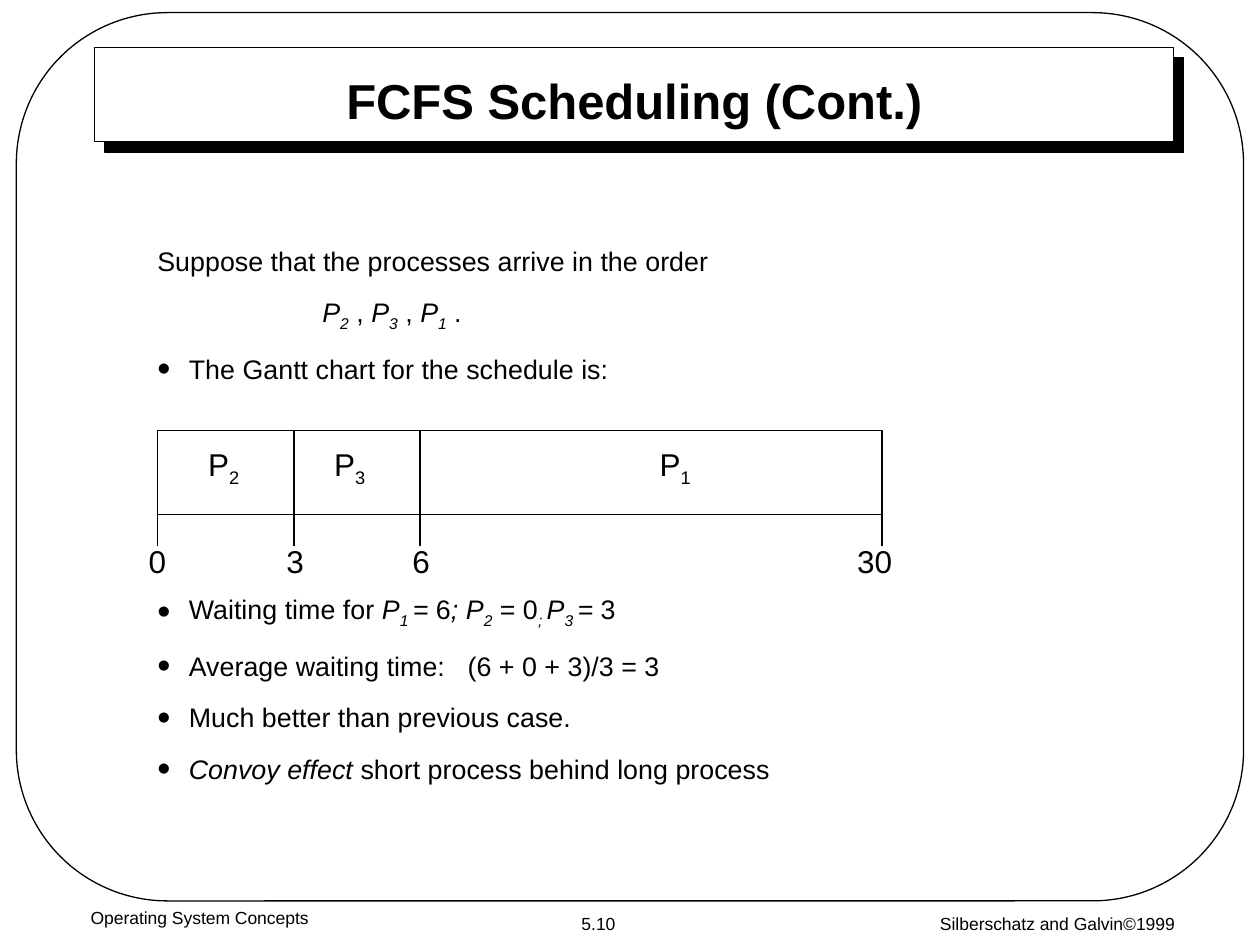
from collections import namedtuple

from lxml import etree
from pptx import Presentation
from pptx import util as u
from pptx.dml.color import RGBColor
from pptx.enum import shapes, text
from pptx.oxml import ns

BLACK = RGBColor(0, 0, 0)
WHITE = RGBColor(255, 255, 255)
FONT = "Arial"
CELL = u.Inches(1) / 12
COLUMNS, ROWS = 120, 90
BODY_SIZE = 15.3
LABEL_SIZE = 18
FOOTER_SIZE = 10
HANGING = u.Inches(0.25)

Box = namedtuple("Box", "left top width height")
ORDER_INDENT = u.Inches(1.31)


def cells(*counts):
    return [u.Emu(round(count * CELL)) for count in counts]


def add_child(parent, tag, **attributes):
    return etree.SubElement(parent, ns.qn(tag), attributes)


def add_outline(slide, kind, box, filled):
    shape = slide.shapes.add_shape(kind, *cells(*box))
    shape.shadow.inherit = False
    if filled:
        shape.fill.solid()
        shape.fill.fore_color.rgb = WHITE
    else:
        shape.fill.background()
    shape.line.color.rgb = BLACK
    shape.line.width = u.Pt(0.75)
    return shape


def add_line(slide, column, top, bottom):
    line = slide.shapes.add_connector(
        shapes.MSO_CONNECTOR.STRAIGHT, *cells(column, top, column, bottom))
    line.line.color.rgb = BLACK
    line.line.width = u.Pt(0.75)
    add_child(line._element.spPr, "a:effectLst")


def add_run(paragraph, words, size, style="", bold=False, tracking=0):
    run = paragraph.add_run()
    run.text = words
    font = run.font
    font.name, font.size, font.bold = FONT, u.Pt(size), bold
    font.italic = "i" in style
    font.color.rgb = BLACK
    properties = run._r.get_or_add_rPr()
    if "s" in style:
        properties.set("baseline", "-25000")
    if tracking:
        properties.set("spc", str(tracking))


def add_text_box(slide, box, anchor=text.MSO_ANCHOR.TOP, wrap=True):
    frame = slide.shapes.add_textbox(*cells(*box)).text_frame
    frame.word_wrap = wrap
    frame.vertical_anchor = anchor
    return frame


def add_label(slide, box, runs, size, bold=False,
              anchor=text.MSO_ANCHOR.MIDDLE, wrap=False):
    paragraph = add_text_box(slide, box, anchor, wrap).paragraphs[0]
    paragraph.alignment = text.PP_ALIGN.CENTER
    for words, style in runs:
        add_run(paragraph, words, size, style, bold)


def format_paragraph(paragraph, margin, bulleted):
    paragraph.space_before = u.Pt(11.2)
    properties = paragraph._p.get_or_add_pPr()
    properties.set("marL", str(margin))
    if bulleted:
        properties.set("indent", str(-HANGING))
        color = add_child(properties, "a:buClr")
        add_child(color, "a:srgbClr", val=str(BLACK))
        add_child(properties, "a:buSzPct", val="140000")
        add_child(properties, "a:buFont", typeface=FONT)
        add_child(properties, "a:buChar", char="•")


def add_body(slide, box, items):
    frame = add_text_box(slide, box)
    for index, (margin, bulleted, runs) in enumerate(items):
        paragraph = frame.add_paragraph() if index else frame.paragraphs[0]
        format_paragraph(paragraph, margin, bulleted)
        for words, style, *tracking in runs:
            add_run(paragraph, words, BODY_SIZE, style, False, *tracking)


def add_title(slide, box):
    panel = add_outline(slide, shapes.MSO_SHAPE.RECTANGLE, box, True)
    effects = panel._element.spPr.find(ns.qn("a:effectLst"))
    shadow = add_child(effects, "a:outerShdw", dist=str(u.Pt(8.5)),
                       dir="2700000", algn="ctr", rotWithShape="0")
    add_child(shadow, "a:srgbClr", val=str(BLACK))
    title_box = Box(box.left + 6.24, box.top + 2, 90.36, 6)
    add_label(slide, title_box, [("FCFS Scheduling (Cont.)", "")], 28, True, wrap=True)


def add_footer(slide, box):
    side = 38
    entries = [
        ("Operating System Concepts", box.left, box.top, side, 4.2),
        ("5.10", 51.36, box.top + 0.6, 11.28, 3.2),
        ("Silberschatz and Galvin©1999", box.width - side - 0.3, box.top + 0.6, side, 3.6),
    ]
    for words, *place in entries:
        add_label(slide, Box(*place), [(words, "")], FOOTER_SIZE,
                  anchor=text.MSO_ANCHOR.TOP, wrap=True)


def add_gantt(slide, box):
    add_outline(slide, shapes.MSO_SHAPE.RECTANGLE, box, True)
    bottom = box.top + box.height
    for number, offset in [("2", 6.3), ("3", 18.3), ("1", 49.3)]:
        label = Box(box.left + offset - 2.7, box.top + 0.8, 5.4, 5.3)
        add_label(slide, label, [("P", ""), (number, "s")], LABEL_SIZE)
    ticks = [("0", 0, 0), ("3", 13, 0.1), ("6", 25, 0.1), ("30", box.width, -0.7)]
    for time, offset, nudge in ticks:
        column = box.left + offset
        if 0 < offset < box.width:
            add_line(slide, column, box.top, bottom)
        add_line(slide, column, bottom, bottom + 3)
        add_label(slide, Box(column + nudge - 2.9, bottom + 2, 5.8, 4.8),
                  [(time, "")], LABEL_SIZE)


def add_order(slide, box):
    order = [("P", "i"), ("2", "is"), (" , ", ""), ("P", "i"), ("3", "is"),
             (" , ", ""), ("P", "i"), ("1", "is"), (" .", "")]
    add_body(slide, box, [
        (0, False, [("Suppose that the processes arrive in the order", "")]),
        (ORDER_INDENT, False, order),
        (HANGING, True, [("The Gantt chart for the schedule is:", "")]),
    ])


def add_results(slide, box):
    waiting = [("Waiting time for ", ""), ("P", "i"), ("1 ", "is"), ("=", "i"),
               (" 6", ""), ("; P", "i"), ("2", "is"), (" = 0", ""),
               ("; ", "is"), ("P", "i"), ("3 ", "is"), ("= ", "i"), ("3", "")]
    average = [("Average waiting time:", ""), (" ", "", 850),
               ("(6 + 0 + 3)/3 = 3", "")]
    convoy = [("Convoy effect", "i"), (" short process behind long process", "")]
    better = [("Much better than previous case.", "")]
    add_body(slide, box, [(HANGING, True, runs)
                          for runs in (waiting, average, better, convoy)])


def main():
    presentation = Presentation()
    presentation.slide_width, presentation.slide_height = cells(COLUMNS, ROWS)
    slide = presentation.slides.add_slide(presentation.slide_layouts[6])
    add_footer(slide, Box(0, 85.8, COLUMNS, 4.2))
    frame = add_outline(slide, shapes.MSO_SHAPE.ROUNDED_RECTANGLE,
                        Box(1.56, 1.2, 116.88, 84.6), False)
    frame.adjustments[0] = 0.17
    add_title(slide, Box(9, 4.5, 102.75, 9))
    add_order(slide, Box(13.8, 22.68, 92.28, 16))
    add_gantt(slide, Box(15, 41, 69, 8))
    add_results(slide, Box(13.8, 55.9, 92.28, 20.8))
    presentation.save("out.pptx")


if __name__ == "__main__":
    main()
